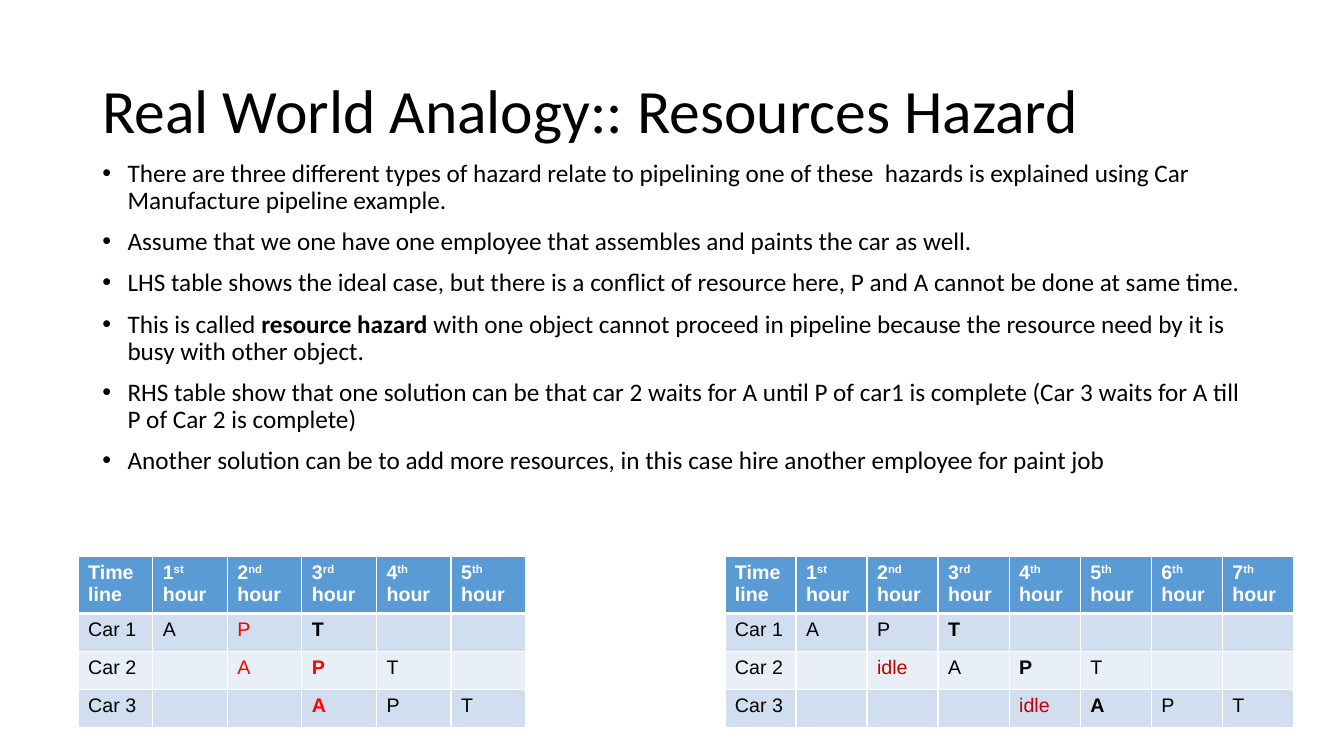
from dataclasses import dataclass

from lxml.etree import SubElement
from pptx import Presentation
from pptx.dml.color import RGBColor as Rgb
from pptx.enum.text import MSO_ANCHOR as Anchor
from pptx.oxml.ns import qn
from pptx.util import Inches, Pt


@dataclass(frozen=True)
class Theme:
    ink: str = "000000"
    white: str = "FFFFFF"
    header: str = "5B9BD5"
    bands: tuple = ("D0DEEF", "E9EFF7")
    conflict: str = "FF0000"
    waiting: str = "C00000"
    text_font: str = "Calibri"
    table_font: str = "Arial"
    title_size: int = 44
    body_size: int = 18
    table_size: int = 14
    thin: int = 1
    thick: int = 3


@dataclass(frozen=True)
class Stage:
    text: str
    color: str = Theme.ink
    bold: bool = False


class SlideBuilder:
    def __init__(self, deck, theme, columns=160, rows=90):
        self.theme = theme
        self.slide = deck.slides.add_slide(deck.slide_layouts[6])
        self.column = deck.slide_width / columns
        self.row = deck.slide_height / rows

    def place(self, left, top, width, height):
        return (round(left * self.column), round(top * self.row),
                round(width * self.column), round(height * self.row))

    def span(self, para, text, font, size, color, bold=False, baseline=0):
        span = para.add_run()
        span.text = text
        span.font.name = font
        span.font.size = Pt(size)
        span.font.bold = bold
        span.font.color.rgb = Rgb.from_string(color)
        if baseline:
            span.font._element.set("baseline", str(baseline * 1000))

    def text_box(self, area, anchor):
        frame = self.slide.shapes.add_textbox(*self.place(*area)).text_frame
        frame.word_wrap = True
        frame.vertical_anchor = anchor
        return frame

    def title(self, text, area):
        para = self.text_box(area, Anchor.MIDDLE).paragraphs[0]
        para.line_spacing = 0.9
        self.span(para, text, self.theme.text_font, self.theme.title_size, self.theme.ink)

    def bullets(self, items, area):
        frame = self.text_box(area, Anchor.TOP)
        for index, parts in enumerate(items):
            para = frame.add_paragraph() if index else frame.paragraphs[0]
            props = para._p.get_or_add_pPr()
            props.set("marL", str(Inches(0.25)))
            props.set("indent", str(-Inches(0.25)))
            SubElement(props, qn("a:buFont"), typeface=self.theme.table_font)
            SubElement(props, qn("a:buChar"), char="•")
            para.line_spacing = 0.9
            if index:
                para.space_before = Pt(10)
            for position, part in enumerate(parts):
                self.span(para, part, self.theme.text_font, self.theme.body_size,
                          self.theme.ink, bold=position == 1)

    def style_cell(self, cell, fill, top, bottom):
        props = cell._tc.get_or_add_tcPr()
        thin = self.theme.thin
        for side, width in (("L", thin), ("R", thin), ("T", top), ("B", bottom)):
            line = SubElement(props, qn(f"a:ln{side}"), w=str(Pt(width)))
            paint = SubElement(line, qn("a:solidFill"))
            SubElement(paint, qn("a:srgbClr"), val=self.theme.white)
        cell.fill.solid()
        cell.fill.fore_color.rgb = Rgb.from_string(fill)

    def header_cell(self, cell, hour):
        theme = self.theme
        self.style_cell(cell, theme.header, theme.thin, theme.thick)
        suffix = {1: "st", 2: "nd", 3: "rd"}.get(hour, "th")
        parts = ((str(hour), 0), (suffix, 30), (" hour", 0)) if hour else (("Time line", 0),)
        for text, baseline in parts:
            self.span(cell.text_frame.paragraphs[0], text, theme.table_font,
                      theme.table_size, theme.white, True, baseline)

    def stage_cell(self, cell, stage, car):
        theme = self.theme
        top = theme.thick if car == 1 else theme.thin
        self.style_cell(cell, theme.bands[(car - 1) % 2], top, theme.thin)
        para = cell.text_frame.paragraphs[0]
        if stage:
            self.span(para, stage.text, theme.table_font, theme.table_size,
                      stage.color, stage.bold)
        else:
            SubElement(para._p, qn("a:endParaRPr"), sz=str(theme.table_size * 100))

    def timeline(self, cars, hours, left, top, column_width, header=6.3, body=4.53):
        heights = [header] + [body] * len(cars)
        area = self.place(left, top, column_width * (hours + 1), sum(heights))
        table = self.slide.shapes.add_table(len(heights), hours + 1, *area).table
        table.horz_banding = False
        for column in table.columns:
            column.width = round(column_width * self.column)
        for row, height in zip(table.rows, heights):
            row.height = round(height * self.row)
        for hour in range(hours + 1):
            self.header_cell(table.cell(0, hour), hour)
            for car, stages in enumerate(cars, 1):
                stage = stages.get(hour) if hour else Stage(f"Car {car}")
                self.stage_cell(table.cell(car, hour), stage, car)


BULLETS = [
    ["There are three different types of hazard relate to pipelining one of these  hazards "
     "is explained using Car Manufacture pipeline example."],
    ["Assume that we one have one employee that assembles and paints the car as well."],
    ["LHS table shows the ideal case, but there is a conflict of resource here, "
     "P and A cannot be done at same time."],
    ["This is called ", "resource hazard ",
     "with one object cannot proceed in pipeline because the resource need by it is busy "
     "with other object."],
    ["RHS table show that one solution can be that car 2 waits for A until P of car1 is "
     "complete (Car 3 waits for A till P of Car 2 is complete)"],
    ["Another solution can be to add more resources, in this case hire another employee "
     "for paint job"],
]


def main():
    deck = Presentation()
    deck.slide_width, deck.slide_height = Inches(13.33), Inches(7.5)
    theme = Theme()
    page = SlideBuilder(deck, theme)
    assemble, paint, test = Stage("A"), Stage("P"), Stage("T")
    idle = Stage("idle", theme.waiting)
    ideal = [
        {1: assemble, 2: Stage("P", theme.conflict), 3: Stage("T", bold=True)},
        {2: Stage("A", theme.conflict), 3: Stage("P", theme.conflict, True), 4: test},
        {3: Stage("A", theme.conflict, True), 4: paint, 5: test},
    ]
    delayed = [
        {1: assemble, 2: paint, 3: Stage("T", bold=True)},
        {2: idle, 3: assemble, 4: Stage("P", bold=True), 5: test},
        {4: idle, 5: Stage("A", bold=True), 6: paint, 7: test},
    ]
    page.title("Real World Analogy:: Resources Hazard", (11, 4.8, 138, 17.4))
    page.bullets(BULLETS, (11, 18.5, 138, 57.1))
    page.timeline(ideal, hours=5, left=9.3, top=66.24, column_width=8.88)
    page.timeline(delayed, hours=7, left=86.3, top=66.24, column_width=8.46)
    deck.save("out.pptx")


if __name__ == "__main__":
    main()
